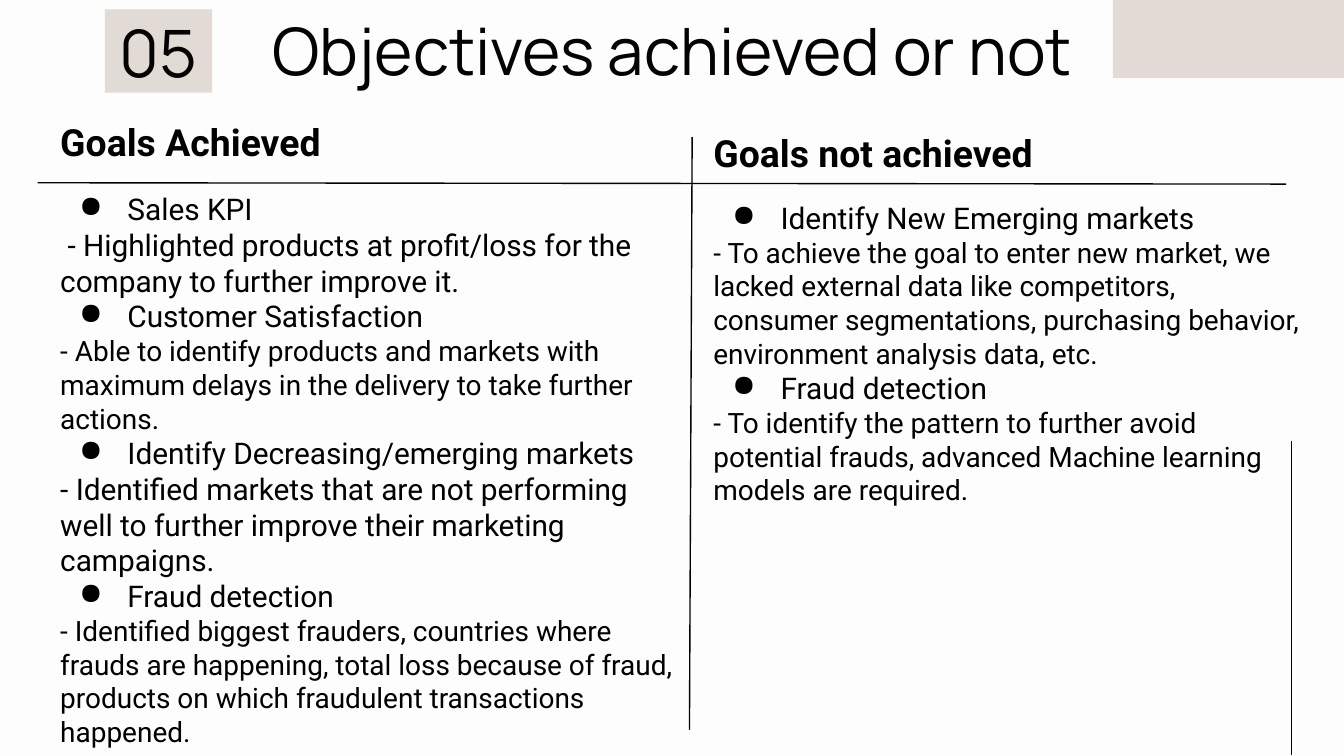
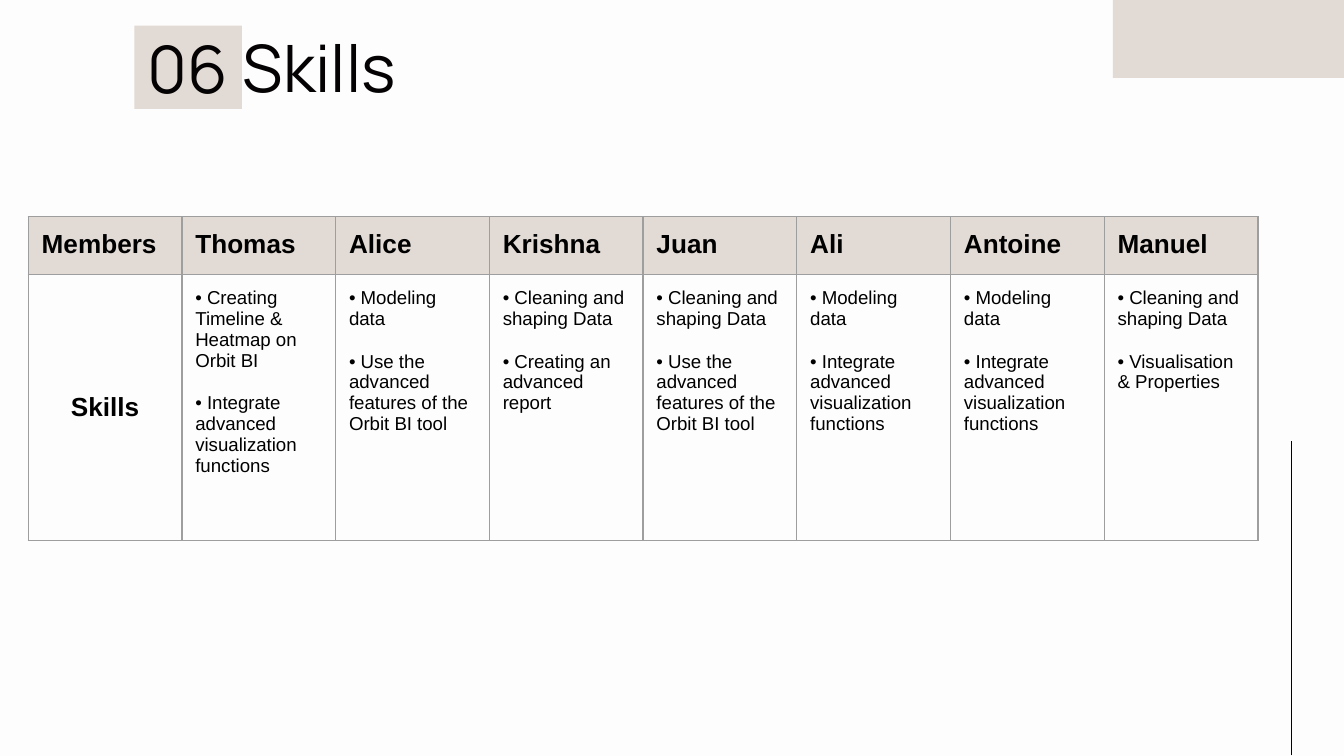
from lxml import etree
from pptx import Presentation
from pptx import util as u
from pptx.dml.color import RGBColor
from pptx.enum import shapes, text
from pptx.oxml import ns

COLORS = {"paper": "FDFDFD", "sand": "E2DAD4", "ink": "040202",
          "black": "000000", "border": "9E9E9E"}
LEFT, CENTER = text.PP_ALIGN.LEFT, text.PP_ALIGN.CENTER


def write(tf, words, size=16, font="Roboto", color="black", bold=False,
          align=LEFT, before=0, bullet=False, anchor=None):
    """Add a paragraph to a text frame, using the empty first one if there is one."""
    tf.word_wrap = True
    tf.margin_left = tf.margin_right = tf.margin_top = tf.margin_bottom = u.Inches(0.1)
    if anchor is not None:
        tf.vertical_anchor = anchor
    p = tf.paragraphs[0] if not tf.text else tf.add_paragraph()
    p.alignment = align
    p.space_before = u.Pt(before)
    r = p.add_run()
    r.text = words
    r.font.size, r.font.name, r.font.bold = u.Pt(size), font, bold
    r.font.color.rgb = RGBColor.from_string(COLORS[color])
    if bullet:
        pPr = p._p.get_or_add_pPr()
        pPr.set("marL", str(u.Inches(0.5)))
        pPr.set("indent", str(u.Inches(-0.36)))
        etree.SubElement(pPr, ns.qn("a:buChar")).set("char", "●")


def add_line(slide, x1, y1, x2, y2):
    ln = slide.shapes.add_connector(shapes.MSO_CONNECTOR.STRAIGHT, u.Inches(x1),
                                    u.Inches(y1), u.Inches(x2), u.Inches(y2))
    ln.line.color.rgb = RGBColor.from_string(COLORS["ink"])
    ln.line.width = u.Pt(0.75)
    etree.SubElement(ln._element.spPr, ns.qn("a:effectLst"))


prs = Presentation()
prs.slide_width, prs.slide_height = u.Inches(10), u.Inches(5.625)

# Shared frame: background, corner band, side rule, title and number tile
HEADS = [
    # number, tile left, tile top, title, title left, title top, title width, align
    ("05", 0.78, 0.07, "Objectives achieved or not", 0.79, 0.11, 8.43, CENTER),
    ("06", 1, 0.19, "Skills", 1.71, 0.23, 6.5, LEFT),
]
slides = []
for number, tile_x, tile_y, title, x, y, w, align in HEADS:
    slide = prs.slides.add_slide(prs.slide_layouts[6])
    slide.background.fill.solid()
    slide.background.fill.fore_color.rgb = RGBColor.from_string(COLORS["paper"])
    add_line(slide, 9.61, 5.62, 9.61, 3.28)
    head = dict(size=35, font="Manrope", color="ink", anchor=text.MSO_ANCHOR.MIDDLE)
    sp = slide.shapes.add_textbox(u.Inches(x), u.Inches(y), u.Inches(w), u.Inches(0.52))
    write(sp.text_frame, title, align=align, **head)
    for label, *box in [("", 8.28, 0, 1.72, 0.58), (number, tile_x, tile_y, 0.8, 0.62)]:
        sp = slide.shapes.add_shape(shapes.MSO_SHAPE.RECTANGLE, *map(u.Inches, box))
        sp.shadow.inherit = False
        sp.fill.solid()
        sp.fill.fore_color.rgb = RGBColor.from_string(COLORS["sand"])
        sp.line.fill.background()
        if label:
            write(sp.text_frame, label, align=CENTER, **head)
    slides.append(slide)
goals_slide, skills_slide = slides

# Goals: two columns, each goal followed by its detail and the detail's size
GOALS = [
    ("Goals Achieved", (0.35, 0.79, 4.8, 4.66), 14, [
        ("Sales KPI",
         " - Highlighted products at profit/loss for the company to further improve it.", 16),
        ("Customer Satisfaction",
         "- Able to identify products and markets with maximum delays in the delivery "
         "to take further actions.", 15),
        ("Identify Decreasing/emerging markets",
         "- Identified markets that are not performing well to further improve their "
         "marketing campaigns.", 16),
        ("Fraud detection",
         "- Identified biggest frauders, countries where frauds are happening, total loss "
         "because of fraud, products on which fraudulent transactions happened.", 15),
    ]),
    ("Goals not achieved", (5.21, 0.87, 4.57, 3.05), 13, [
        ("Identify New Emerging markets",
         "- To achieve the goal to enter new market, we lacked external data like competitors, "
         "consumer segmentations, purchasing behavior, environment analysis data, etc.", 15),
        ("Fraud detection",
         "- To identify the pattern to further avoid potential frauds, advanced Machine "
         "learning models are required.", 15),
    ]),
]
for heading, box, gap, goals in GOALS:
    tf = goals_slide.shapes.add_textbox(*map(u.Inches, box)).text_frame
    write(tf, heading, size=20, bold=True)
    for i, (goal, detail, size) in enumerate(goals):
        write(tf, goal, bullet=True, before=0 if i else gap)
        write(tf, detail, size=size)
add_line(goals_slide, 5.15, 1.02, 5.13, 5.43)
add_line(goals_slide, 0.28, 1.36, 9.57, 1.37)

# Skills: one column per member
MODELING, CLEANING = "• Modeling data", "• Cleaning and shaping Data"
INTEGRATE = "• Integrate advanced visualization functions"
FEATURES = "• Use the advanced features of the Orbit BI tool"
MEMBERS = [
    ("Members", ["Skills"]),
    ("Thomas", ["• Creating Timeline & Heatmap on Orbit BI", INTEGRATE]),
    ("Alice", [MODELING, FEATURES]),
    ("Krishna", [CLEANING, "• Creating an advanced report"]),
    ("Juan", [CLEANING, FEATURES]),
    ("Ali", [MODELING, INTEGRATE]),
    ("Antoine", [MODELING, INTEGRATE]),
    ("Manuel", [CLEANING, "• Visualisation & Properties"]),
]
COL_W, ROW_H = 1.144, (0.42, 1.98)
table = skills_slide.shapes.add_table(
    2, len(MEMBERS), u.Inches(0.21), u.Inches(1.61),
    u.Inches(COL_W * len(MEMBERS)), u.Inches(sum(ROW_H))).table
table.first_row = table.horz_banding = False
for row, height in zip(table.rows, ROW_H):
    row.height = u.Inches(height)
for col, (member, skills) in enumerate(MEMBERS):
    table.columns[col].width = u.Inches(COL_W)
    name, body = table.cell(0, col), table.cell(1, col)
    label = dict(size=14, font="Arial", bold=True)
    write(name.text_frame, member, **label)
    if col == 0:
        write(body.text_frame, skills[0], align=CENTER, **label)
        body.vertical_anchor = text.MSO_ANCHOR.MIDDLE
    else:
        for i, skill in enumerate(skills):
            write(body.text_frame, skill, size=10, font="Arial", before=11.5 * i)
    for cell in (name, body):
        cell.margin_left = cell.margin_right = u.Inches(0.1)
        cell.margin_top = cell.margin_bottom = u.Inches(0.1)
        tcPr = cell._tc.get_or_add_tcPr()
        for side in ("lnL", "lnR", "lnT", "lnB"):
            ln = etree.SubElement(tcPr, ns.qn(f"a:{side}"), w=str(u.Pt(0.75)))
            fill = etree.SubElement(ln, ns.qn("a:solidFill"))
            etree.SubElement(fill, ns.qn("a:srgbClr"), val=COLORS["border"])
    name.fill.solid()
    name.fill.fore_color.rgb = RGBColor.from_string(COLORS["sand"])
    body.fill.background()

prs.save("out.pptx")
